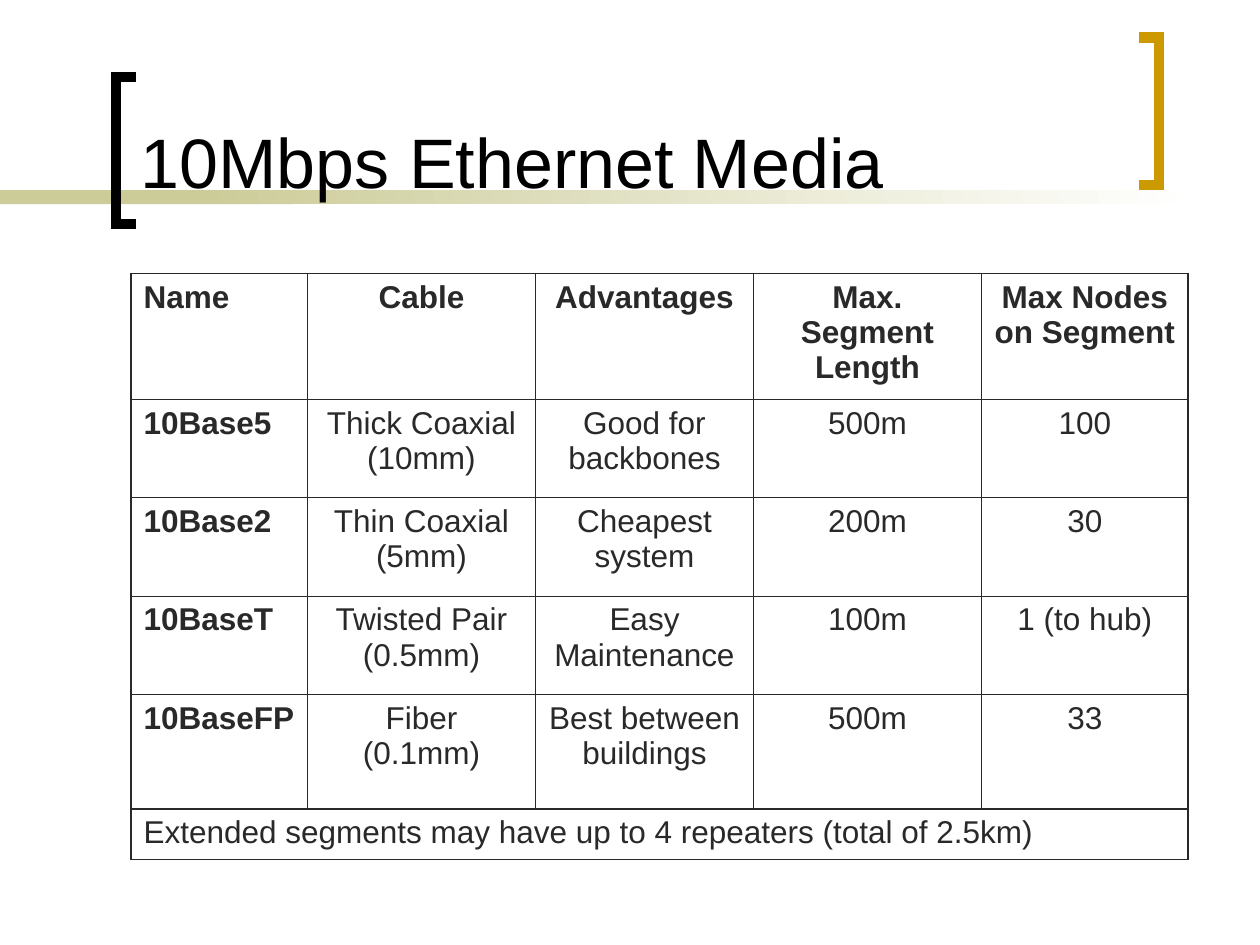
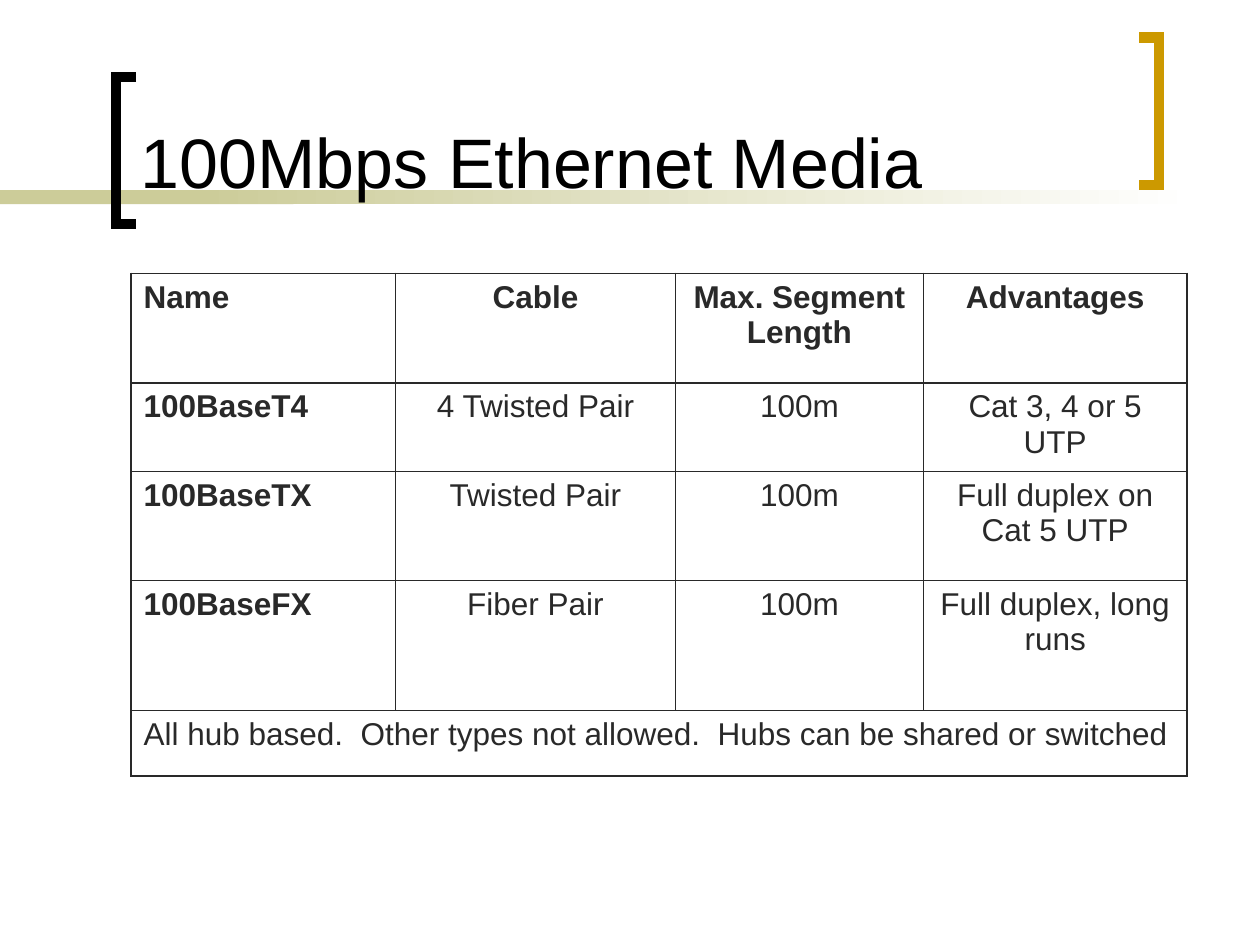
import lxml.etree
import pptx
import pptx.dml.color
import pptx.enum.text
import pptx.oxml.ns
import pptx.util

Inches, Pt = pptx.util.Inches, pptx.util.Pt
RGBColor = pptx.dml.color.RGBColor
ALIGN = pptx.enum.text.PP_ALIGN
qn = pptx.oxml.ns.qn

BLACK = RGBColor(0x00, 0x00, 0x00)
WHITE = RGBColor(0xFF, 0xFF, 0xFF)
SAND = RGBColor(0xCC, 0xCC, 0x99)
GOLD = RGBColor(0xCC, 0x99, 0x00)
CHARCOAL = RGBColor(0x29, 0x29, 0x29)
FONT = "Arial"
THIN, THICK = Pt(0.45), Pt(1.08)

SLIDES = [
    {
        "title": "10Mbps Ethernet Media",
        "columns": [1.4, 1.81, 1.73, 1.81, 1.64],
        "heights": [1, 0.78, 0.78, 0.78, 0.91, 0.4],
        "rows": [
            ["Name", "Cable", "Advantages", "Max. Segment Length", "Max Nodes on Segment"],
            ["10Base5", "Thick Coaxial\n(10mm)", "Good for backbones", "500m", "100"],
            ["10Base2", "Thin Coaxial\n(5mm)", "Cheapest system", "200m", "30"],
            ["10BaseT", "Twisted Pair\n(0.5mm)", "Easy Maintenance", "100m", "1 (to hub)"],
            ["10BaseFP", "Fiber\n(0.1mm)", "Best between buildings", "500m", "33"],
        ],
        "remark": "Extended segments may have up to 4 repeaters (total of 2.5km)",
        "line_above_remark": THICK,
    },
    {
        "title": "100Mbps Ethernet Media",
        "columns": [2.1, 2.22, 1.97, 2.09],
        "heights": [0.87, 0.7, 0.87, 1.03, 0.52],
        "rows": [
            ["Name", "Cable", "Max. Segment Length", "Advantages"],
            ["100BaseT4", "4 Twisted Pair", "100m", "Cat 3, 4 or 5 UTP"],
            ["100BaseTX", "Twisted Pair", "100m", "Full duplex on Cat 5 UTP"],
            ["100BaseFX", "Fiber Pair", "100m", "Full duplex, long runs"],
        ],
        "remark": "All hub based.  Other types not allowed.  Hubs can be shared or switched",
        "line_above_remark": THIN,
    },
]


def style_text(frame, text, size, color, bold=False, align=ALIGN.LEFT):
    frame.text = text
    for para in frame.paragraphs:
        para.alignment = align
        para.font.name = FONT
        para.font.size = Pt(size)
        para.font.bold = bold
        para.font.color.rgb = color


def add_band(page, left, width):
    band = page.shapes.add_shape(
        pptx.enum.shapes.MSO_SHAPE.RECTANGLE,
        Inches(left), Inches(1.51), Inches(width), Inches(0.11))
    band.shadow.inherit = False
    band.line.fill.background()
    return band


def add_bracket(page, tip, spine, top, color):
    """Draw a square bracket whose arms run from the spine to the tip."""
    bottom = top + 1.17
    corners = [(tip, top), (spine, top), (spine, bottom), (tip, bottom)]
    points = [(Inches(x), Inches(y)) for x, y in corners]
    builder = page.shapes.build_freeform(*points[0])
    builder.add_line_segments(points[1:], close=False)
    bracket = builder.convert_to_shape()
    bracket.shadow.inherit = False
    bracket.fill.background()
    bracket.line.color.rgb = color
    bracket.line.width = Pt(6)
    outline = bracket.line._get_or_add_ln()
    lxml.etree.SubElement(outline, qn("a:miter"), lim="800000")


def add_frame(page, title):
    solid = add_band(page, 0, 2.33)
    solid.fill.solid()
    solid.fill.fore_color.rgb = SAND
    fading = add_band(page, 1.58, 7.92)
    fading.fill.gradient()
    fading.fill.gradient_angle = 180
    for stop, position, color in zip(fading.fill.gradient_stops, (0, 1), (WHITE, SAND)):
        stop.position = position
        stop.color.rgb = color
    add_bracket(page, 1.08, 0.92, 0.61, BLACK)
    add_bracket(page, 9.04, 9.2, 0.3, GOLD)

    box = page.shapes.add_textbox(Inches(1.02), Inches(0.11), Inches(7.83), Inches(1.55))
    box.text_frame.word_wrap = True
    box.text_frame.vertical_anchor = pptx.enum.text.MSO_ANCHOR.BOTTOM
    style_text(box.text_frame, title, 40, BLACK)


def set_borders(cell, widths):
    """Set the left, right, top and bottom border widths of a cell."""
    properties = cell._tc.get_or_add_tcPr()
    for side, width in zip("LRTB", widths):
        line = lxml.etree.SubElement(properties, qn(f"a:ln{side}"), w=str(int(width)))
        fill = lxml.etree.SubElement(line, qn("a:solidFill"))
        lxml.etree.SubElement(fill, qn("a:srgbClr"), val=str(CHARCOAL))


def add_media_table(page, content):
    columns, heights = content["columns"], content["heights"]
    table = page.shapes.add_table(
        len(heights), len(columns), Inches(1.04), Inches(2.17),
        Inches(sum(columns)), Inches(sum(heights))).table
    table.first_row = table.horz_banding = False
    for column, width in zip(table.columns, columns):
        column.width = Inches(width)
    for row, height in zip(table.rows, heights):
        row.height = Inches(height)

    across = [THICK, THICK] + [THIN] * (len(heights) - 2) + [THICK]
    across[-2] = content["line_above_remark"]
    down = [THICK, THICK] + [THIN] * (len(columns) - 2) + [THICK]
    for r in range(len(heights)):
        for c in range(len(columns)):
            cell = table.cell(r, c)
            set_borders(cell, (down[c], down[c + 1], across[r], across[r + 1]))
            cell.fill.background()

    for r, texts in enumerate(content["rows"]):
        for c, text in enumerate(texts):
            style_text(table.cell(r, c).text_frame, text, 18, CHARCOAL,
                       bold=r == 0 or c == 0,
                       align=ALIGN.CENTER if c else ALIGN.LEFT)
    last = len(heights) - 1
    remark = table.cell(last, 0)
    remark.merge(table.cell(last, len(columns) - 1))
    style_text(remark.text_frame, content["remark"], 18, CHARCOAL)


def main():
    deck = pptx.Presentation()
    deck.slide_width, deck.slide_height = Inches(10), Inches(7.5)
    for content in SLIDES:
        page = deck.slides.add_slide(deck.slide_layouts[6])
        add_frame(page, content["title"])
        add_media_table(page, content)
    deck.save("out.pptx")


if __name__ == "__main__":
    import pptx.enum.shapes
    main()
